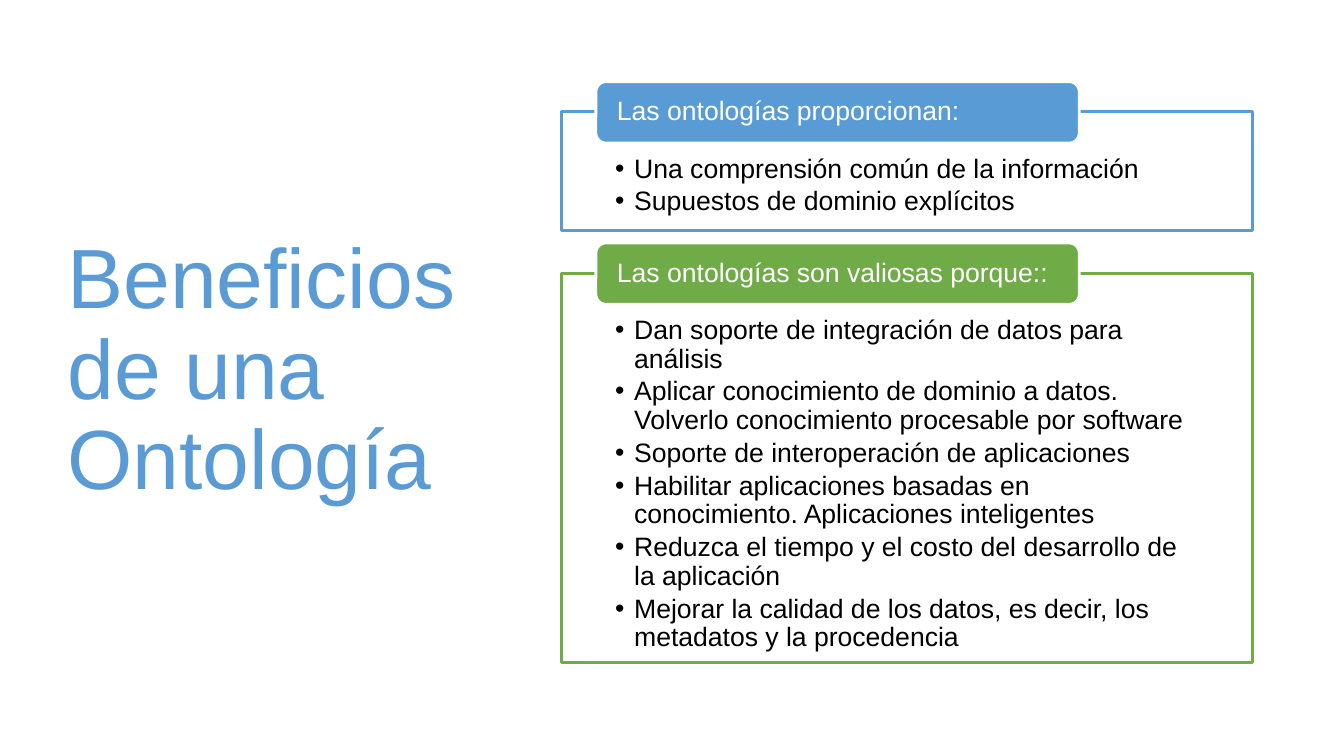
from lxml import etree
from pptx import Presentation
from pptx.dml.color import RGBColor
from pptx.enum.shapes import MSO_SHAPE
from pptx.enum.text import MSO_ANCHOR, MSO_AUTO_SIZE, PP_ALIGN
from pptx.oxml.ns import qn
from pptx.util import Inches, Pt

RECTANGLE, ROUNDED = MSO_SHAPE.RECTANGLE, MSO_SHAPE.ROUNDED_RECTANGLE
TOP, MIDDLE = MSO_ANCHOR.TOP, MSO_ANCHOR.MIDDLE
LEFT = PP_ALIGN.LEFT
NO_AUTOFIT = MSO_AUTO_SIZE.NONE

TITLE_BLUE = RGBColor(0x5B, 0x9B, 0xD5)
BLUE = RGBColor(0x59, 0x9B, 0xD5)
GREEN = RGBColor(0x6F, 0xAB, 0x46)
WHITE = RGBColor(0xFF, 0xFF, 0xFF)
BLACK = RGBColor(0x00, 0x00, 0x00)

TITLE = "Beneficios de una Ontología"
TITLE_BOX = (0.57, 0.68, 4.16, 6.02)
SECTIONS = [
    ((5.57, 1.11, 6.85, 1.18), BLUE, "Las ontologías proporcionan:", [
        "Una comprensión común de la información",
        "Supuestos de dominio explícitos",
    ]),
    ((5.57, 2.71, 6.85, 3.86), GREEN, "Las ontologías son valiosas porque::", [
        "Dan soporte de integración de datos para análisis",
        "Aplicar conocimiento de dominio a datos. "
        "Volverlo conocimiento procesable por software",
        "Soporte de interoperación de aplicaciones",
        "Habilitar aplicaciones basadas en conocimiento. Aplicaciones inteligentes",
        "Reduzca el tiempo y el costo del desarrollo de la aplicación",
        "Mejorar la calidad de los datos, es decir, los metadatos y la procedencia",
    ]),
]


def apply_format(target, values):
    """Set each named attribute of the target."""
    for name, value in values.items():
        setattr(target, name, value)


def format_frame(frame, anchor, margins):
    """Set anchor, wrapping and margins (left, top, right, bottom) in inches."""
    sides = ("margin_left", "margin_top", "margin_right", "margin_bottom")
    apply_format(frame, {"word_wrap": True, "auto_size": NO_AUTOFIT, "vertical_anchor": anchor})
    apply_format(frame, dict(zip(sides, map(Inches, margins))))


def format_paragraph(paragraph, size, color):
    """Apply the shared left-aligned Arial style to a paragraph."""
    apply_format(paragraph, {"alignment": LEFT, "line_spacing": 0.9})
    apply_format(paragraph.font, {"name": "Arial", "size": Pt(size)})
    paragraph.font.color.rgb = color


def add_bullet(paragraph):
    """Give a paragraph a black bullet with a hanging indent."""
    properties = paragraph._p.get_or_add_pPr()
    properties.set("marL", str(Inches(0.19)))
    properties.set("indent", str(-Inches(0.19)))
    bullet_color = etree.SubElement(properties, qn("a:buClr"))
    etree.SubElement(bullet_color, qn("a:srgbClr"), val=str(BLACK))
    etree.SubElement(properties, qn("a:buFont"), typeface="Arial")
    etree.SubElement(properties, qn("a:buChar"), char="•")


def add_box(slide, kind, box, fill, line):
    """Add a filled and outlined shape without shadow."""
    shape = slide.shapes.add_shape(kind, *map(Inches, box))
    shape.shadow.inherit = False
    shape.fill.solid()
    shape.fill.fore_color.rgb = fill
    shape.line.color.rgb = line
    shape.line.width = Pt(2)
    return shape


def add_title(slide, box):
    """Place and format the title placeholder."""
    title = slide.shapes.title
    apply_format(title, dict(zip(("left", "top", "width", "height"), map(Inches, box))))
    title.text_frame.text = TITLE
    format_frame(title.text_frame, MIDDLE, (0.1, 0.05, 0.1, 0.05))
    format_paragraph(title.text_frame.paragraphs[0], 60, TITLE_BLUE)


def add_section(slide, box, color, heading, items):
    """Add a bulleted panel with a heading tab across its top edge."""
    left, top, width, _ = box
    frame = add_box(slide, RECTANGLE, box, WHITE, color).text_frame
    format_frame(frame, TOP, (0.53, 0.43, 0.53, 0.15))
    for index, item in enumerate(items):
        paragraph = frame.add_paragraph() if index else frame.paragraphs[0]
        paragraph.text = item
        paragraph.level = 1
        add_bullet(paragraph)
        format_paragraph(paragraph, 19, BLACK)
        paragraph.space_before = Pt(2.9 if index else 0)

    tab_box = (left + 0.34, top - 0.3, width * 0.7, 0.61)
    tab = add_box(slide, ROUNDED, tab_box, color, WHITE)
    tab.adjustments[0] = 0.167
    tab.text_frame.text = heading
    format_frame(tab.text_frame, MIDDLE, (0.18, 0, 0.18, 0))
    format_paragraph(tab.text_frame.paragraphs[0], 19, WHITE)


def main():
    """Build and save the presentation."""
    presentation = Presentation()
    presentation.slide_width = Inches(13.33)
    presentation.slide_height = Inches(7.5)
    slide = presentation.slides.add_slide(presentation.slide_layouts[5])
    add_title(slide, TITLE_BOX)
    for section in SECTIONS:
        add_section(slide, *section)
    presentation.save("out.pptx")


if __name__ == "__main__":
    main()
